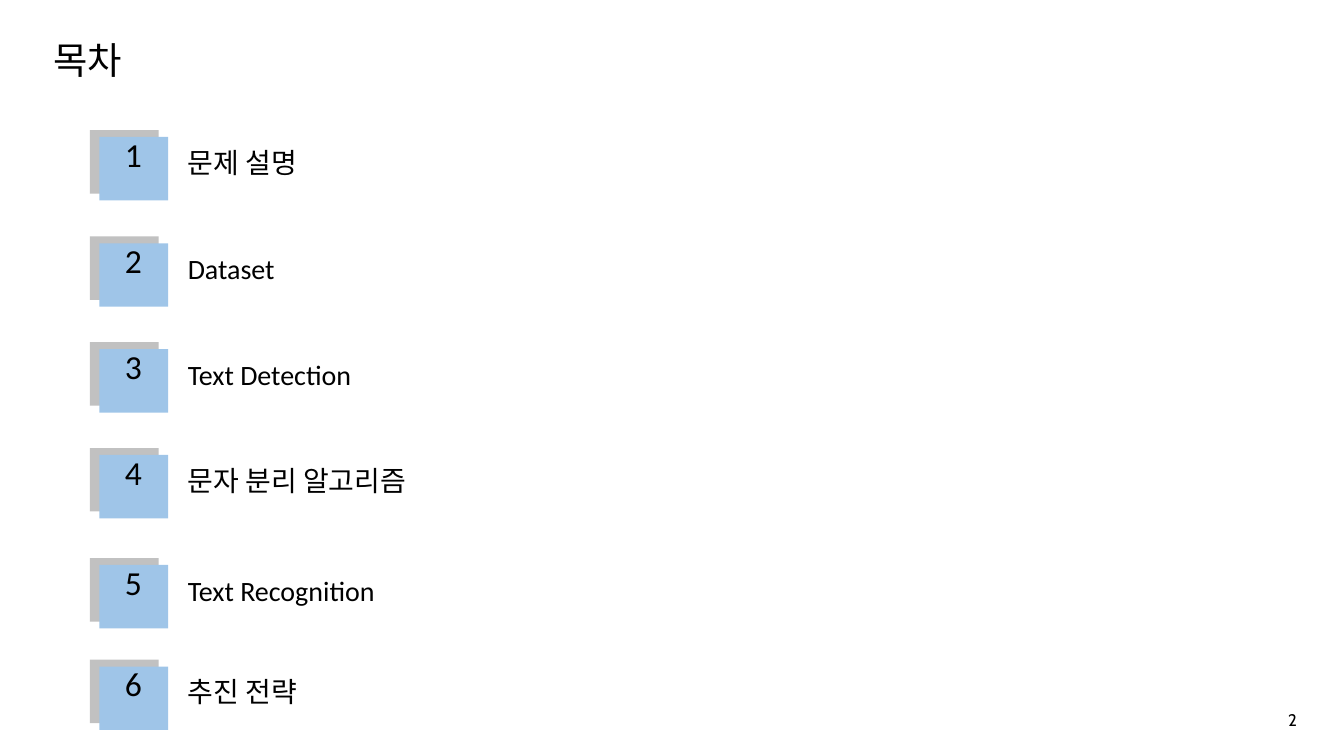
from pptx import Presentation
from pptx.dml.color import RGBColor
from pptx.enum.shapes import MSO_SHAPE
from pptx.enum.text import MSO_ANCHOR, PP_ALIGN
from pptx.util import Cm, Pt

RECTANGLE = MSO_SHAPE.RECTANGLE
TOP, MIDDLE = MSO_ANCHOR.TOP, MSO_ANCHOR.MIDDLE
LEFT, RIGHT = PP_ALIGN.LEFT, PP_ALIGN.RIGHT

BLACK = RGBColor(0x00, 0x00, 0x00)
GRAY = RGBColor(0xC1, 0xC1, 0xC1)
BLUE = RGBColor(0x9F, 0xC5, 0xE8)

TITLE = "목차"
PAGE_NUMBER = "2"
# Section name, top of its row, width and height of its label (cm)
SECTIONS = [
    ("문제 설명", 2.46, 6.38, 1.37),
    ("Dataset", 4.47, 6.38, 1.14),
    ("Text Detection", 6.47, 7.21, 1.37),
    ("문자 분리 알고리즘", 8.47, 6.38, 1.37),
    ("Text Recognition", 10.55, 8.15, 1.37),
    ("추진 전략", 12.47, 8.15, 1.37),
]

TILE_LEFT, TILE_WIDTH, TILE_HEIGHT = 1.70, 1.30, 1.20
TILE_SHIFT_X, TILE_SHIFT_Y = 0.18, 0.13
NUMBER_LEFT, NUMBER_RISE = 2.11, 0.18
LABEL_LEFT, LABEL_DROP = 3.30, 0.04


def add_tile(slide, left, top, color):
    tile = slide.shapes.add_shape(
        RECTANGLE, Cm(left), Cm(top), Cm(TILE_WIDTH), Cm(TILE_HEIGHT))
    tile.shadow.inherit = False
    tile.fill.solid()
    tile.fill.fore_color.rgb = color
    tile.line.fill.background()


def add_text(slide, text, left, top, width, height, size, font="Calibri",
             align=LEFT, anchor=TOP, inset_x=0.25, inset_y=0.25):
    box = slide.shapes.add_textbox(Cm(left), Cm(top), Cm(width), Cm(height))
    frame = box.text_frame
    frame.word_wrap = True
    frame.vertical_anchor = anchor
    frame.margin_left = frame.margin_right = Cm(inset_x)
    frame.margin_top = frame.margin_bottom = Cm(inset_y)
    frame.text = text
    paragraph = frame.paragraphs[0]
    paragraph.alignment = align
    run_font = paragraph.runs[0].font
    run_font.name = font
    run_font.size = Pt(size)
    run_font.color.rgb = BLACK


def main():
    deck = Presentation()
    deck.slide_width, deck.slide_height = Cm(25.4), Cm(14.29)
    slide = deck.slides.add_slide(deck.slide_layouts[6])

    add_text(slide, TITLE, 0.76, 0.46, 6.81, 1.65, 20)
    for number, (name, top, width, height) in enumerate(SECTIONS, start=1):
        add_tile(slide, TILE_LEFT, top, GRAY)
        add_tile(slide, TILE_LEFT + TILE_SHIFT_X, top + TILE_SHIFT_Y, BLUE)
        add_text(slide, str(number), NUMBER_LEFT, top - NUMBER_RISE,
                 2.34, 2.11, 18)
        add_text(slide, name, LABEL_LEFT, top + LABEL_DROP, width, height, 15)
    add_text(slide, PAGE_NUMBER, 23.42, 13.36, 1.27, 0.48, 9, font="Cabin",
             align=RIGHT, anchor=MIDDLE, inset_x=0.18, inset_y=0.10)

    deck.save("out.pptx")


if __name__ == "__main__":
    main()
